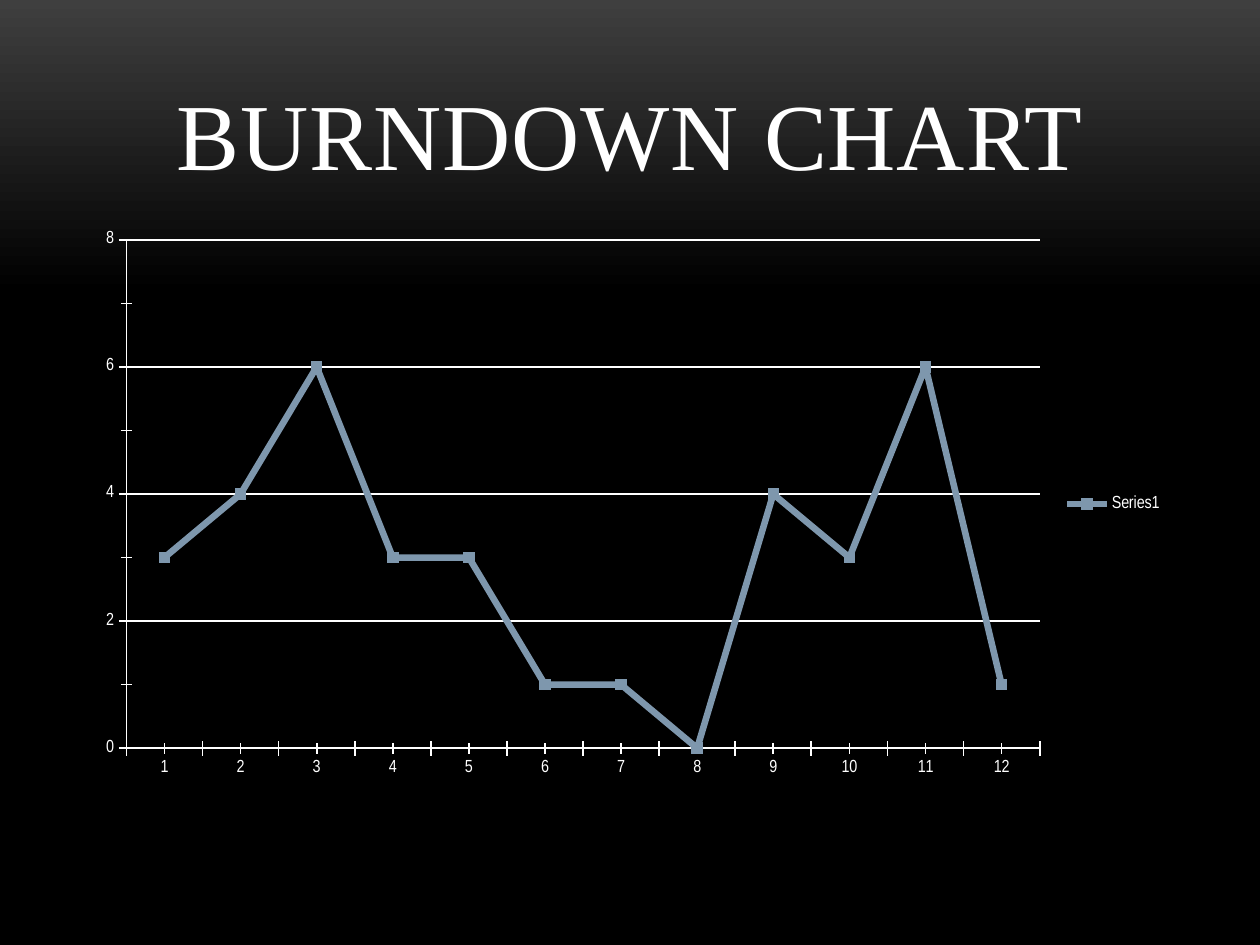
from pptx import Presentation
from pptx.chart.data import CategoryChartData as Data
from pptx.dml.color import RGBColor as Rgb
from pptx.enum.chart import XL_CHART_TYPE as Kind, XL_LEGEND_POSITION as Side
from pptx.enum.chart import XL_MARKER_STYLE as Mark, XL_TICK_MARK as Tick
from pptx.enum.text import MSO_ANCHOR as Anchor, PP_ALIGN as Align
from pptx.util import Cm, Pt

INK = {"text": "FFFFFF", "line": "7E97AD", "top": "3F3F3F", "base": "000000"}
WORK = [3, 4, 6, 3, 3, 1, 1, 0, 4, 3, 6, 1]


def tint(name):
    return Rgb.from_string(INK[name])


def stroke(line, name, width):
    line.color.rgb = tint(name)
    line.width = Pt(width)


def shade(slide):
    """Fade the background from grey at the top to black."""
    fill = slide.background.fill
    fill.gradient()
    fill.gradient_angle = 270
    for stop, name, place in zip(fill.gradient_stops, ("top", "base"), (0, 0.31)):
        stop.color.rgb = tint(name)
        stop.position = place


def add_title(slide, text, left, top, width, height):
    frame = slide.shapes.add_textbox(left, top, width, height).text_frame
    frame.word_wrap = True
    frame.vertical_anchor = Anchor.BOTTOM
    frame.text = text
    para = frame.paragraphs[0]
    para.alignment = Align.CENTER
    font = para.runs[0].font
    font.name = "Times New Roman"
    font.size = Pt(54)
    font.color.rgb = tint("text")
    para.runs[0]._r.get_or_add_rPr().set("spc", "50")


def add_burndown(slide, left, top, width, height):
    data = Data()
    data.categories = [str(day + 1) for day in range(len(WORK))]
    data.add_series("Series1", WORK)
    chart = slide.shapes.add_chart(
        Kind.LINE_MARKERS_STACKED, left, top, width, height, data).chart
    chart.has_title = False
    chart.font.name = "Arial Narrow"
    chart.font.size = Pt(10)
    chart.font.color.rgb = tint("text")
    chart.has_legend = True
    chart.legend.position = Side.RIGHT
    chart.legend.include_in_layout = False

    for axis in (chart.category_axis, chart.value_axis):
        axis.major_tick_mark = axis.minor_tick_mark = Tick.CROSS
        stroke(axis.format.line, "text", 1)
    scale = chart.value_axis
    scale.minimum_scale, scale.maximum_scale = 0, 8
    scale.major_unit, scale.minor_unit = 2, 1
    scale.has_major_gridlines = True
    stroke(scale.major_gridlines.format.line, "text", 0.75)

    plot = chart.plots[0]
    plot.vary_by_categories = False
    series = plot.series[0]
    series.smooth = False
    stroke(series.format.line, "line", 3.75)
    series.marker.style = Mark.SQUARE
    series.marker.size = 6
    series.marker.format.fill.solid()
    series.marker.format.fill.fore_color.rgb = tint("line")
    stroke(series.marker.format.line, "line", 0.75)


def main():
    deck = Presentation()
    deck.slide_width, deck.slide_height = Cm(25.4), Cm(19.05)
    slide = deck.slides.add_slide(deck.slide_layouts[6])
    left, width = Cm(1.7), Cm(22)
    shade(slide)
    add_title(slide, "BURNDOWN CHART", left, Cm(0.76), width, Cm(3.18))
    add_burndown(slide, left, Cm(4.45), width, Cm(11.43))
    deck.save("out.pptx")


if __name__ == "__main__":
    main()
